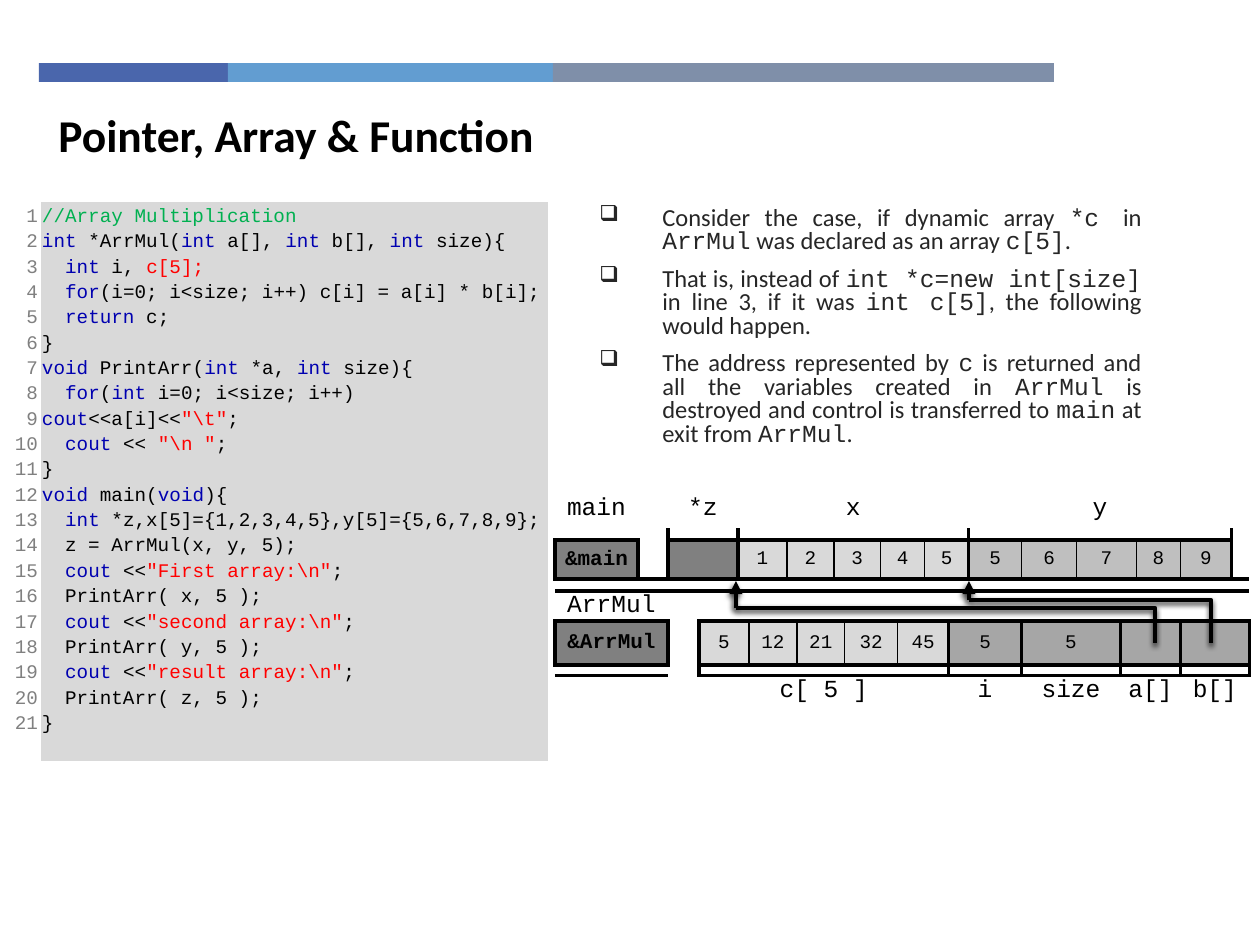
from itertools import groupby

from lxml.etree import SubElement
from pptx import Presentation
from pptx.dml.color import RGBColor
from pptx.enum.shapes import MSO_CONNECTOR as Conn, MSO_SHAPE as Shape
from pptx.enum.text import MSO_ANCHOR as Anchor, PP_ALIGN as Align
from pptx.oxml.ns import qn
from pptx.util import Emu, Pt

SCALE = 914400 / 126
BLACK = RGBColor(0, 0, 0)
INK = RGBColor(0x26, 0x26, 0x26)
GRAY = RGBColor(0x80, 0x80, 0x80)
SILVER = RGBColor(0xD9, 0xD9, 0xD9)
MID = RGBColor(0xBF, 0xBF, 0xBF)
DIM = RGBColor(0xA6, 0xA6, 0xA6)
BLUE = RGBColor(0, 0, 0xB0)
RED = RGBColor(0xFF, 0, 0)
GREEN = RGBColor(0, 0xB0, 0x50)
SANS, MONO = "Calibri", "Courier New"
NO_STYLE = "{2D5ABB26-0587-4C30-8999-92F81FD0307C}"

BARS = [
    (39, 189, RGBColor(0x4A, 0x66, 0xAC)),
    (228, 325, RGBColor(0x62, 0x9D, 0xD1)),
    (553, 501, RGBColor(0x7F, 0x8F, 0xA9)),
]
TITLE = "Pointer, Array & Function"
POINTS = [
    "Consider the case, if dynamic array ~*c ~in ~ArrMul~ was declared as an array ~c[5]~.",
    "That is, instead of ~int *c=new int[size] ~in line 3, if it was ~int c[5]~, "
    "the following would happen.",
    "The address represented by ~c~ is returned and all the variables created in ~ArrMul~ "
    "is destroyed and control is transferred to ~main~ at exit from ~ArrMul~.",
]
KEYWORDS = {"int", "for", "return", "void", "cout"}
CODE = r"""//Array Multiplication
int *ArrMul(int a[], int b[], int size){
  int i, ~c[5];~
  for(i=0; i<size; i++) c[i] = a[i] * b[i];
  return c;
}
void PrintArr(int *a, int size){
  for(int i=0; i<size; i++) cout<<a[i]<<~"\t"~;
  cout << ~"\n "~;
}
void main(void){
  int *z,x[5]={1,2,3,4,5},y[5]={5,6,7,8,9};
  z = ArrMul(x, y, 5);
  cout <<~"First array:\n"~;
  PrintArr( x, 5 );
  cout <<~"second array:\n"~;
  PrintArr( y, 5 );
  cout <<~"result array:\n"~;
  PrintArr( z, 5 );
}""".split("\n")
LINE_COUNT = 21

MEMORY_COLS = [83, 30, 31, 39, 11, 38, 10, 37, 11, 36, 17, 27, 24, 20, 53, 55, 44, 16, 44, 51, 18]
MEMORY_ROWS = [38, 12, 39, 12, 30, 44, 11, 29, 6]
LABEL = {"size": Pt(14), "bold": False}
ADDRESS = {"size": Pt(12), "bold": True}
VALUE = {"size": Pt(11), "bold": False}
MEMORY = [
    [(1, "main", None, "", LABEL), (1, "", None, "", LABEL), (2, "*z", None, "", LABEL),
     (10, "x", None, "", LABEL), (6, "y", None, "", LABEL), (1, "", None, "", LABEL)],
    [(1, "", None, "B", LABEL), (1, "", None, "R", LABEL), (2, "", None, "LRB", LABEL),
     (10, "", None, "LRB", LABEL), (6, "", None, "LRB", LABEL), (1, "", None, "L", LABEL)],
    [(1, "&main", GRAY, "LRTB", ADDRESS), (1, "", None, "LRB", VALUE),
     (2, "", GRAY, "LRTB", VALUE), (2, "1", SILVER, "LrTB", VALUE)]
    + [(2, v, SILVER, "lrTB", VALUE) for v in "234"]
    + [(2, "5", SILVER, "lRTB", VALUE), (1, "5", MID, "LrTB", VALUE), (1, "6", MID, "lrTB", VALUE),
       (2, "7", MID, "lrTB", VALUE), (1, "8", MID, "lrTB", VALUE), (1, "9", MID, "lRTB", VALUE),
       (1, "", None, "LB", VALUE)],
    [(21, "", None, "TB", LABEL)],
    [(2, "ArrMul", None, "TB", LABEL), (1, "", None, "T", LABEL), (18, "", None, "TB", LABEL)],
    [(2, "&ArrMul", GRAY, "LRTB", ADDRESS), (1, "", None, "LR", VALUE),
     (2, "5", SILVER, "LrTB", VALUE)]
    + [(2, v, SILVER, "lrTB", VALUE) for v in ("12", "21", "32")]
    + [(2, "45", SILVER, "lRTB", VALUE)]
    + [(2, v, DIM, "LRTB", VALUE) for v in ("5", "5", "", "")],
    [(2, "", None, "TB", LABEL), (1, "", None, "R", LABEL), (10, "", None, "LRTB", LABEL)]
    + [(2, "", None, "LRTB", LABEL)] * 4,
    [(2, "", None, "T", LABEL), (1, "", None, "", LABEL), (10, "c[ 5 ]", None, "T", LABEL)]
    + [(2, v, None, "T", LABEL) for v in ("i", "size", "a[]", "b[]")],
    [(21, "", None, "", LABEL)],
]
ARROWS = [(1155, 736, 608), (1211, 969, 600)]
ARROW_START, ARROW_TIP = 643, 581


def px(n):
    return Emu(round(n * SCALE))


def add_run(p, text, **fmt):
    r = p.add_run()
    r.text = text
    color = fmt.pop("color", BLACK)
    for key, value in fmt.items():
        setattr(r.font, key, value)
    r.font.color.rgb = color


def add_text(slide, *box):
    tf = slide.shapes.add_textbox(*map(px, box)).text_frame
    tf.word_wrap = True
    return tf


def add_grid(slide, x, y, cols, rows):
    gf = slide.shapes.add_table(len(rows), len(cols), px(x), px(y), px(sum(cols)), px(sum(rows)))
    for style in gf.element.iter(qn("a:tableStyleId")):
        style.text = NO_STYLE
    table = gf.table
    table.first_row = table.horz_banding = False
    for col, w in zip(table.columns, cols):
        col.width = px(w)
    for row, h in zip(table.rows, rows):
        row.height = px(h)
    return table


def set_cell(cell, fill, borders="", side=1, edge=1):
    cell.margin_left = cell.margin_right = px(side)
    cell.margin_top = cell.margin_bottom = px(edge)
    tcPr = cell._tc.get_or_add_tcPr()
    for b in "LRTB":
        width = Pt(2.25) if b in borders else Pt(1)
        ln = SubElement(tcPr, qn("a:ln" + b), w=str(width))
        if b in borders.upper():
            SubElement(SubElement(ln, qn("a:solidFill")), qn("a:srgbClr"), val=str(BLACK))
        else:
            SubElement(ln, qn("a:noFill"))
    if fill is None:
        cell.fill.background()
    else:
        cell.fill.solid()
        cell.fill.fore_color.rgb = fill


def code_tokens(line):
    if line.startswith("//"):
        yield GREEN, line
        return
    for i, part in enumerate(line.split("~")):
        for _, chars in groupby(part, str.isalnum):
            word = "".join(chars)
            yield RED if i % 2 else BLUE if word in KEYWORDS else BLACK, word


def add_arrow_part(slide, kind, *ends):
    c = slide.shapes.add_connector(kind, *map(px, ends))
    c.line.color.rgb = BLACK
    c.line.width = Pt(2.5)
    effects = SubElement(c.element.spPr, qn("a:effectLst"))
    shadow = SubElement(effects, qn("a:outerShdw"), blurRad=str(Pt(3)), dist=str(Pt(2)),
                        dir="6600000", rotWithShape="0")
    color = SubElement(shadow, qn("a:srgbClr"), val=str(BLACK))
    SubElement(color, qn("a:alpha"), val="75000")
    return c


prs = Presentation()
prs.slide_width, prs.slide_height = px(1260), px(945)
slide = prs.slides.add_slide(prs.slide_layouts[6])

for x, w, color in BARS:
    s = slide.shapes.add_shape(Shape.RECTANGLE, px(x), px(63), px(w), px(19))
    s.shadow.inherit = False
    s.fill.solid()
    s.fill.fore_color.rgb = color
    s.line.fill.background()

tf = add_text(slide, 587, 201, 567, 296)
for i, point in enumerate(POINTS):
    p = tf.paragraphs[0] if i == 0 else tf.add_paragraph()
    p.alignment, p.line_spacing = Align.JUSTIFY, 0.8
    p.space_before = p.space_after = Pt(4)
    pPr = p._p.get_or_add_pPr()
    pPr.set("marL", str(px(63)))
    pPr.set("indent", str(-px(63)))
    SubElement(pPr, qn("a:buSzPct"), val="90000")
    SubElement(pPr, qn("a:buChar"), char="❑")
    for j, part in enumerate(point.split("~")):
        add_run(p, part, name=MONO if j % 2 else SANS, size=Pt(14), color=INK)

table = add_grid(slide, 555, 490, MEMORY_COLS, MEMORY_ROWS)
for i, row in enumerate(MEMORY):
    j = 0
    for span, text, fill, borders, fmt in row:
        first = table.cell(i, j)
        for k in range(j, j + span):
            cell = table.cell(i, k)
            set_cell(cell, fill, borders, 4, 0)
            cell.vertical_anchor = Anchor.MIDDLE
            p = cell.text_frame.paragraphs[0]
            p.alignment = Align.CENTER
            if k > j or not text:
                SubElement(p._p, qn("a:endParaRPr"), sz="100")
        if text:
            add_run(first.text_frame.paragraphs[0], text, name=MONO, **fmt)
        if span > 1:
            first.merge(table.cell(i, j + span - 1))
        j += span

for start, target, level in ARROWS:
    bend = add_arrow_part(slide, Conn.ELBOW, start, ARROW_START, target, level)
    guides = next(bend.element.iter(qn("a:prstGeom"))).get_or_add_avLst()
    SubElement(guides, qn("a:gd"), name="adj1", fmla="val 0")
    tip = add_arrow_part(slide, Conn.STRAIGHT, target, level, target, ARROW_TIP)
    SubElement(tip.line._get_or_add_ln(), qn("a:tailEnd"), type="triangle")

listing = add_grid(slide, 4, 202, [37, 507], [534])
code_font = {"name": MONO, "size": Pt(11)}
number_cell, code_cell = listing.cell(0, 0), listing.cell(0, 1)
set_cell(number_cell, None)
number_cell.margin_right = px(3)
p = number_cell.text_frame.paragraphs[0]
p.alignment, p.line_spacing = Align.RIGHT, 1.15
for n in range(1, LINE_COUNT + 1):
    if n > 1:
        p.add_line_break()
    add_run(p, str(n), color=GRAY, **code_font)
for br in p._p.iter(qn("a:br")):
    SubElement(br, qn("a:rPr"), sz="1100")

set_cell(code_cell, SILVER)
for i, line in enumerate(CODE):
    tf = code_cell.text_frame
    p = tf.paragraphs[0] if i == 0 else tf.add_paragraph()
    p.line_spacing = 1.15
    for color, group in groupby(code_tokens(line), lambda t: t[0]):
        add_run(p, "".join(t[1] for t in group), color=color, **code_font)

tf = add_text(slide, 46, 101, 902, 68)
add_run(tf.paragraphs[0], TITLE, name=SANS, size=Pt(26), bold=True)

prs.save("out.pptx")
